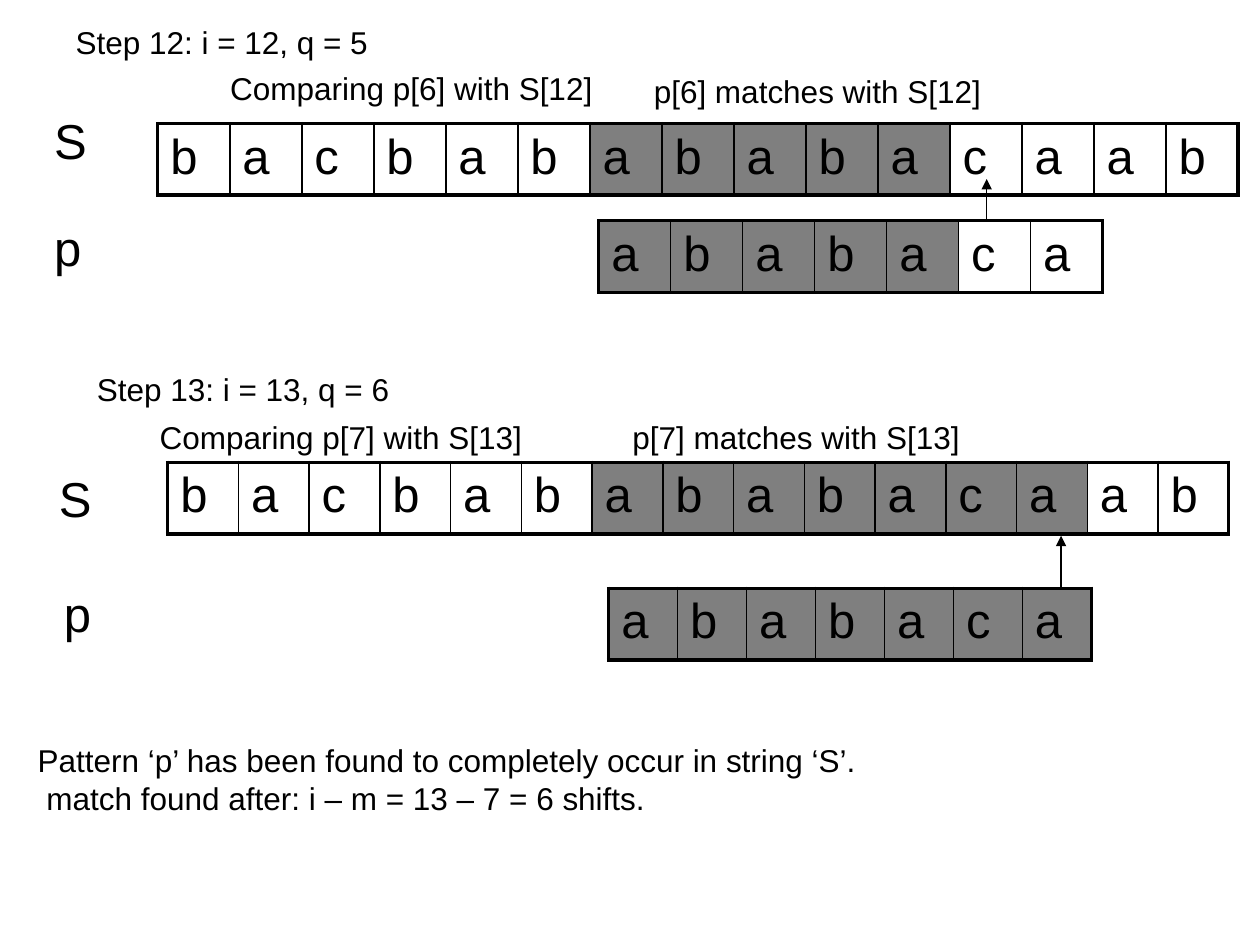
from lxml.etree import SubElement
from pptx import Presentation
from pptx.dml.color import RGBColor
from pptx.enum.shapes import MSO_CONNECTOR as Connector
from pptx.enum.text import MSO_ANCHOR as Anchor, MSO_AUTO_SIZE as AutoSize, PP_ALIGN as Align
from pptx.oxml.ns import qn
from pptx.util import Cm, Pt

BLACK = "000000"
TEXT = "bacbabababacaab"
PATTERN = "ababaca"
MATCH_START = 6


def color(value):
    """Turn a hex string into a colour."""
    return RGBColor.from_string(value)


class StepSlide:
    """Hold the text style and the slide being drawn."""

    font_name = "Arial"
    small, large = 18, 28
    row_height = 1.35

    def __init__(self, slide):
        """Keep the slide that receives the elements."""
        self.slide = slide

    def style(self, paragraph, size):
        """Apply the common font to a paragraph."""
        font = paragraph.font
        font.name, font.size = self.font_name, Pt(size)
        font.color.rgb = color(BLACK)

    def heading(self, placeholder, text, left, top):
        """Place a step heading in a placeholder."""
        placeholder.left, placeholder.top = Cm(left), Cm(top)
        placeholder.width, placeholder.height = Cm(11.43), Cm(0.64)
        frame = placeholder.text_frame
        frame.text = text
        frame.auto_size, frame.vertical_anchor = AutoSize.NONE, Anchor.TOP
        paragraph = frame.paragraphs[0]
        paragraph.alignment, paragraph.line_spacing = Align.LEFT, 0.9
        self.style(paragraph, self.small)
        properties = paragraph._p.get_or_add_pPr()
        properties.set("marL", str(Cm(0.95)))
        properties.set("indent", str(-Cm(0.95)))
        SubElement(properties, qn("a:buNone"))

    def label(self, text, left, top, width, height=1.02, size=small):
        """Add an unwrapped text box, one paragraph per line."""
        box = self.slide.shapes.add_textbox(Cm(left), Cm(top), Cm(width), Cm(height))
        frame = box.text_frame
        frame.word_wrap, frame.auto_size = False, AutoSize.SHAPE_TO_FIT_TEXT
        frame.text = text
        for paragraph in frame.paragraphs:
            self.style(paragraph, size)

    def border(self, cell, side, width):
        """Draw one solid border of a cell."""
        line = SubElement(cell._tc.get_or_add_tcPr(), qn(f"a:{side}"), w=str(Pt(width)))
        fill = SubElement(line, qn("a:solidFill"))
        SubElement(fill, qn("a:srgbClr"), val=BLACK)

    def letters(self, text, matched, left, top, width):
        """Add a one-row table of letters and shade the matched columns."""
        count = len(text)
        frame = self.slide.shapes.add_table(
            1, count, Cm(left), Cm(top), Cm(width), Cm(self.row_height))
        table = frame.table
        table.first_row = table.horz_banding = False
        for index, letter in enumerate(text):
            table.columns[index].width = Cm(width / count)
            cell = table.cell(0, index)
            cell.text = letter
            self.style(cell.text_frame.paragraphs[0], self.large)
            self.border(cell, "lnL", 2.25 if index == 0 else 1)
            self.border(cell, "lnR", 2.25 if index == count - 1 else 1)
            self.border(cell, "lnT", 2.25)
            self.border(cell, "lnB", 2.25)
            if index in matched:
                cell.fill.solid()
                cell.fill.fore_color.rgb = color(BLACK)
                shade = cell._tc.tcPr.find(f"{qn('a:solidFill')}/{qn('a:srgbClr')}")
                SubElement(shade, qn("a:alpha"), val="50000")
            else:
                cell.fill.background()

    def arrow(self, x, start, end):
        """Add a vertical arrow from start to end."""
        arrow = self.slide.shapes.add_connector(
            Connector.STRAIGHT, Cm(x), Cm(start), Cm(x), Cm(end))
        arrow.line.color.rgb, arrow.line.width = color(BLACK), Pt(0.75)
        SubElement(arrow.line._get_or_add_ln(), qn("a:tailEnd"), type="triangle")
        SubElement(arrow._element.spPr, qn("a:effectLst"))


# Places in cm: left, top, then width for tables; x, start, end for arrows
STEPS = [
    dict(i=12, q=5, matched=5, heading=(1.27, 0.43), comparing=(4.39, 1.27),
         matches=(12.93, 1.32), s_label=(0.84, 2.11), p_label=(0.84, 4.27),
         s_row=(3.18, 2.49, 21.79), p_row=(12.07, 4.45, 10.16), arrow=(19.89, 4.45, 3.61)),
    dict(i=13, q=6, matched=7, heading=(1.7, 7.42), comparing=(2.97, 8.31),
         matches=(12.5, 8.31), s_label=(0.94, 9.32), p_label=(1.04, 11.63),
         s_row=(3.38, 9.32, 21.39), p_row=(12.27, 11.86, 9.73), arrow=(21.39, 11.86, 10.8)),
]

presentation = Presentation()
presentation.slide_width, presentation.slide_height = Cm(25.4), Cm(19.05)
slide = presentation.slides.add_slide(presentation.slide_layouts[1])
page = StepSlide(slide)

for step, placeholder in zip(STEPS, list(slide.placeholders)):
    i, q, matched = step["i"], step["q"], step["matched"]
    page.heading(placeholder, f"Step {i}: i = {i}, q = {q}", *step["heading"])
    page.label(f"Comparing p[{q + 1}] with S[{i}]", *step["comparing"], 7.82)
    page.label(f"p[{q + 1}] matches with S[{i}]", *step["matches"], 7.11)
    page.label("S", *step["s_label"], 1.17, 1.45, page.large)
    page.label("p", *step["p_label"], 1.07, 1.45, page.large)
    page.letters(TEXT, range(MATCH_START, MATCH_START + matched), *step["s_row"])
    page.letters(PATTERN, range(matched), *step["p_row"])
    page.arrow(*step["arrow"])

page.label("Pattern ‘p’ has been found to completely occur in string ‘S’.\n"
           " match found after: i – m = 13 – 7 = 6 shifts.", 0.51, 14.81, 17.17, 1.8)

presentation.save("out.pptx")
